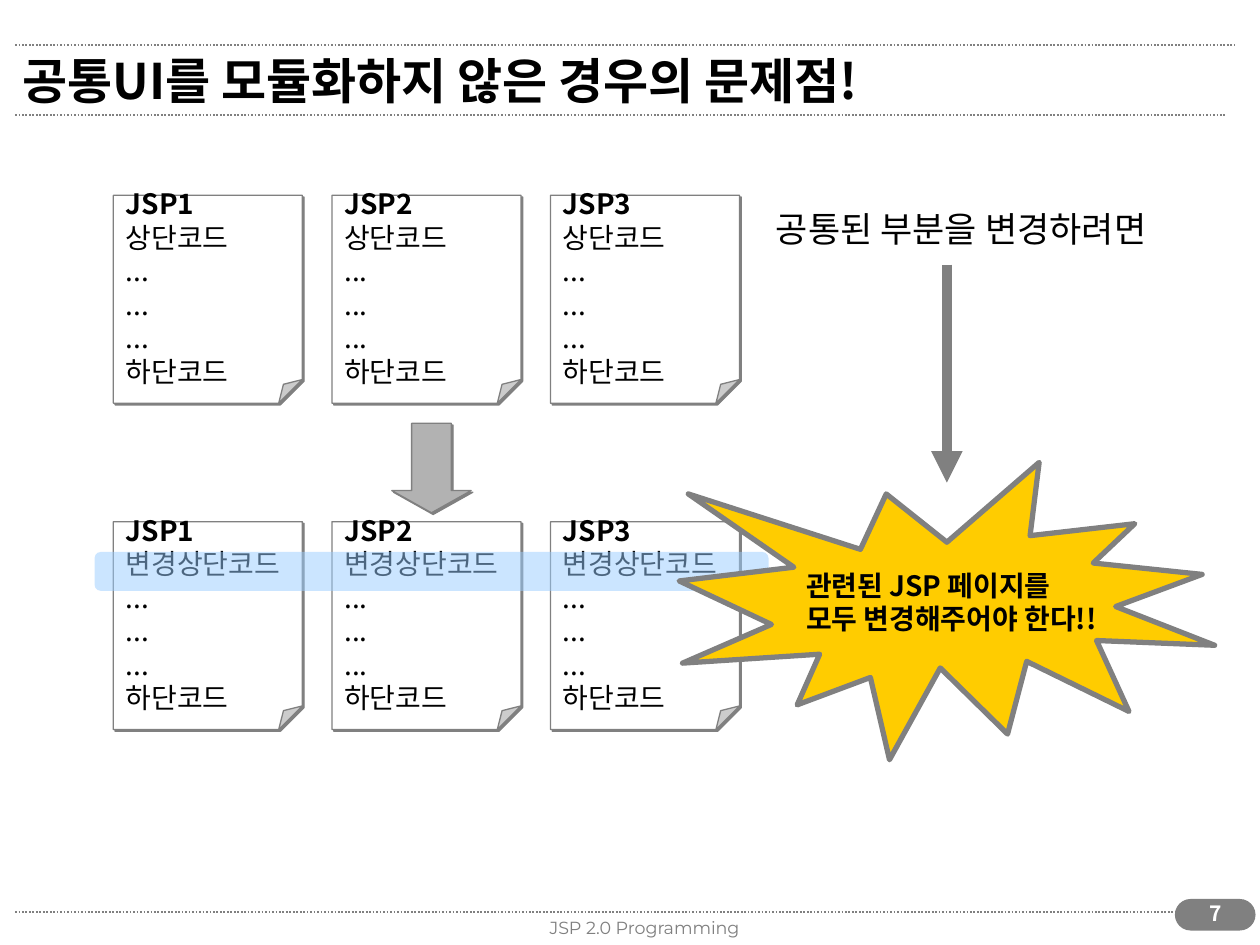
import dataclasses

import pptx
import pptx.dml.color
import pptx.enum.dml
import pptx.enum.shapes
import pptx.enum.text
import pptx.oxml
import pptx.oxml.ns
import pptx.util
from pptx.util import Inches

SHAPE = pptx.enum.shapes.MSO_SHAPE
ALIGN = pptx.enum.text.PP_ALIGN
ANCHOR = pptx.enum.text.MSO_ANCHOR
NS = pptx.oxml.ns.nsdecls("a")


@dataclasses.dataclass(frozen=True)
class Theme:
    font: str = "Noto Sans CJK KR"
    footer_font: str = "Montserrat"
    ink: str = "000000"
    paper: str = "FFFFFF"
    gray: str = "808080"
    arrow: str = "B2B2B2"
    highlight: str = "99CCFF"
    alert: str = "FFCC00"
    title_size: int = 28
    lead_size: int = 20
    body_size: int = 16
    number_size: int = 12
    footer_size: int = 10
    hairline: float = 0.75


THEME = Theme()


def rgb(color):
    return pptx.dml.color.RGBColor.from_string(color)


def drop_shadow():
    return pptx.oxml.parse_xml(
        f'<a:effectLst {NS}><a:outerShdw dist="17780" dir="2700000" algn="ctr" rotWithShape="0">'
        f'<a:srgbClr val="{THEME.gray}"/></a:outerShdw></a:effectLst>')


def add_line(slide, start, end, width, dotted=False, arrow=False):
    line = slide.shapes.add_connector(
        pptx.enum.shapes.MSO_CONNECTOR.STRAIGHT,
        *(Inches(value) for value in (*start, *end)))
    line.line.color.rgb = rgb(THEME.gray)
    line.line.width = pptx.util.Pt(width)
    if dotted:
        line.line.dash_style = pptx.enum.dml.MSO_LINE.ROUND_DOT
    if arrow:
        line.line._get_or_add_ln().append(
            pptx.oxml.parse_xml(f'<a:tailEnd {NS} type="triangle"/>'))
    line._element.spPr.append(pptx.oxml.parse_xml(f"<a:effectLst {NS}/>"))


def add_block(slide, kind, box, fill, border=THEME.hairline, shadowed=False):
    """Filled preset shape; a border of 0 leaves it without an outline."""
    block = slide.shapes.add_shape(kind, *(Inches(value) for value in box))
    block.fill.solid()
    block.fill.fore_color.rgb = rgb(fill)
    if border:
        block.line.color.rgb = rgb(THEME.gray)
        block.line.width = pptx.util.Pt(border)
    else:
        block.line.fill.background()
    block.shadow.inherit = False
    if shadowed:
        properties = block._element.spPr
        properties.replace(properties.find(pptx.oxml.ns.qn("a:effectLst")), drop_shadow())
    return block


def set_fold(page, ratio):
    """Set the corner size in XML, as python-pptx lists no adjustment for this preset."""
    guides = page._element.spPr.find(
        f"{pptx.oxml.ns.qn('a:prstGeom')}/{pptx.oxml.ns.qn('a:avLst')}")
    guides.append(pptx.oxml.parse_xml(
        f'<a:gd {NS} name="adj" fmla="val {round(ratio * 100000)}"/>'))


def write(shape, lines, size, color=THEME.ink, bold_lines=0, align=ALIGN.LEFT,
          anchor=ANCHOR.MIDDLE, wrap=False, font=THEME.font):
    """Fill a shape with one paragraph per line, the first bold_lines in bold."""
    frame = shape.text_frame
    frame.word_wrap = wrap
    frame.vertical_anchor = anchor
    frame.margin_left = frame.margin_right = Inches(0.1)
    frame.margin_top = frame.margin_bottom = Inches(0.05)
    for index, text in enumerate(lines):
        paragraph = frame.add_paragraph() if index else frame.paragraphs[0]
        paragraph.alignment = align
        run = paragraph.add_run()
        run.text = text
        run.font.size = pptx.util.Pt(size)
        run.font.bold = index < bold_lines
        run.font.color.rgb = rgb(color)
        run.font.name = font
        run._r.rPr.find(pptx.oxml.ns.qn("a:latin")).addnext(
            pptx.oxml.parse_xml(f'<a:ea {NS} typeface="{font}"/>'))
    return frame


def add_label(slide, box, text, size, **style):
    label = slide.shapes.add_textbox(*(Inches(value) for value in box))
    return write(label, [text], size, **style)


def add_header(slide, box):
    left, top, width, height = box
    add_line(slide, (left, top + height), (left + width - 0.08, top + height), 1, dotted=True)
    add_line(slide, (left, top), (left + width, top), 1, dotted=True)
    add_label(slide, (left - 0.04, top - 0.08, 9.1, 0.71),
              "공통UI를 모듈화하지 않은 경우의 문제점!", THEME.title_size,
              bold_lines=1, wrap=True)


def add_footer(slide, box):
    left, top, width, height = box
    rule_y = top + 0.1
    add_line(slide, (left, rule_y), (left + 9.61, rule_y), 1, dotted=True)
    pill = add_block(slide, SHAPE.ROUNDED_RECTANGLE,
                     (left + width - 0.63, top, 0.63, height), THEME.gray)
    pill.adjustments[0] = 0.5
    course = add_label(slide, (left + 3.41, top + 0.09, 3.17, 0.2), "JSP 2.0 Programming",
                       THEME.footer_size, color=THEME.gray, align=ALIGN.CENTER,
                       anchor=ANCHOR.TOP, wrap=True, font=THEME.footer_font)
    run_properties = course.paragraphs[0].runs[0]._r.rPr
    run_properties.find(pptx.oxml.ns.qn("a:solidFill")).addnext(drop_shadow())
    add_label(slide, (left + width - 0.59, top - 0.04, 0.55, 0.34), "7", THEME.number_size,
              color=THEME.paper, bold_lines=1, align=ALIGN.CENTER,
              anchor=ANCHOR.TOP, wrap=True)


def add_page_row(slide, box, top_code):
    left, top, width, height = box
    names = ["JSP1", "JSP2", "JSP3"]
    page_width = 1.5
    pitch = (width - page_width) / (len(names) - 1)
    for column, name in enumerate(names):
        page = add_block(slide, SHAPE.FOLDED_CORNER,
                         (left + column * pitch, top, page_width, height),
                         THEME.paper, shadowed=True)
        set_fold(page, 0.125)
        write(page, [name, top_code, "...", "...", "...", "하단코드"],
              THEME.body_size, bold_lines=1)


def add_page_change(slide, box):
    """Pages before and after the change, with the changed line highlighted."""
    left, top, width, height = box
    page_height = 1.65
    after_top = top + height - page_height
    add_page_row(slide, (left, top, width, page_height), "상단코드")
    add_page_row(slide, (left, after_top, width, page_height), "변경상단코드")
    arrow = add_block(slide, SHAPE.DOWN_ARROW, (left + 2.21, top + 1.81, 0.63, 0.71),
                      THEME.arrow, shadowed=True)
    arrow.adjustments[1] = 0.28
    band = add_block(slide, SHAPE.FLOWCHART_ALTERNATE_PROCESS,
                     (left - 0.15, after_top + 0.24, 5.35, 0.31), THEME.highlight, border=0)
    band_color = band._element.spPr.find(
        f"{pptx.oxml.ns.qn('a:solidFill')}/{pptx.oxml.ns.qn('a:srgbClr')}")
    band_color.append(pptx.oxml.parse_xml(f'<a:alpha {NS} val="50000"/>'))


def add_consequence(slide, box):
    left, top, width, height = box
    add_label(slide, (left + 0.67, top, 3.17, 0.44), "공통된 부분을 변경하려면",
              THEME.lead_size, anchor=ANCHOR.TOP)
    burst_height = 2.36
    burst = add_block(slide, SHAPE.EXPLOSION1,
                      (left, top + height - burst_height, width, burst_height),
                      THEME.alert, border=3)
    write(burst, ["관련된 JSP 페이지를", "모두 변경해주어야 한다!!"],
          THEME.body_size, bold_lines=2)
    arrow_x = left + width / 2
    add_line(slide, (arrow_x, top + 0.5), (arrow_x, top + 2.23), 6, arrow=True)


def main():
    deck = pptx.Presentation()
    deck.slide_width, deck.slide_height = Inches(10), Inches(7.5)
    slide = deck.slides.add_slide(deck.slide_layouts[6])
    add_header(slide, (0.12, 0.36, 9.68, 0.55))
    add_footer(slide, (0.12, 7.14, 9.84, 0.24))
    add_page_change(slide, (0.9, 1.55, 4.97, 4.24))
    add_consequence(slide, (5.39, 1.6, 4.25, 4.43))
    deck.save("out.pptx")


if __name__ == "__main__":
    main()
